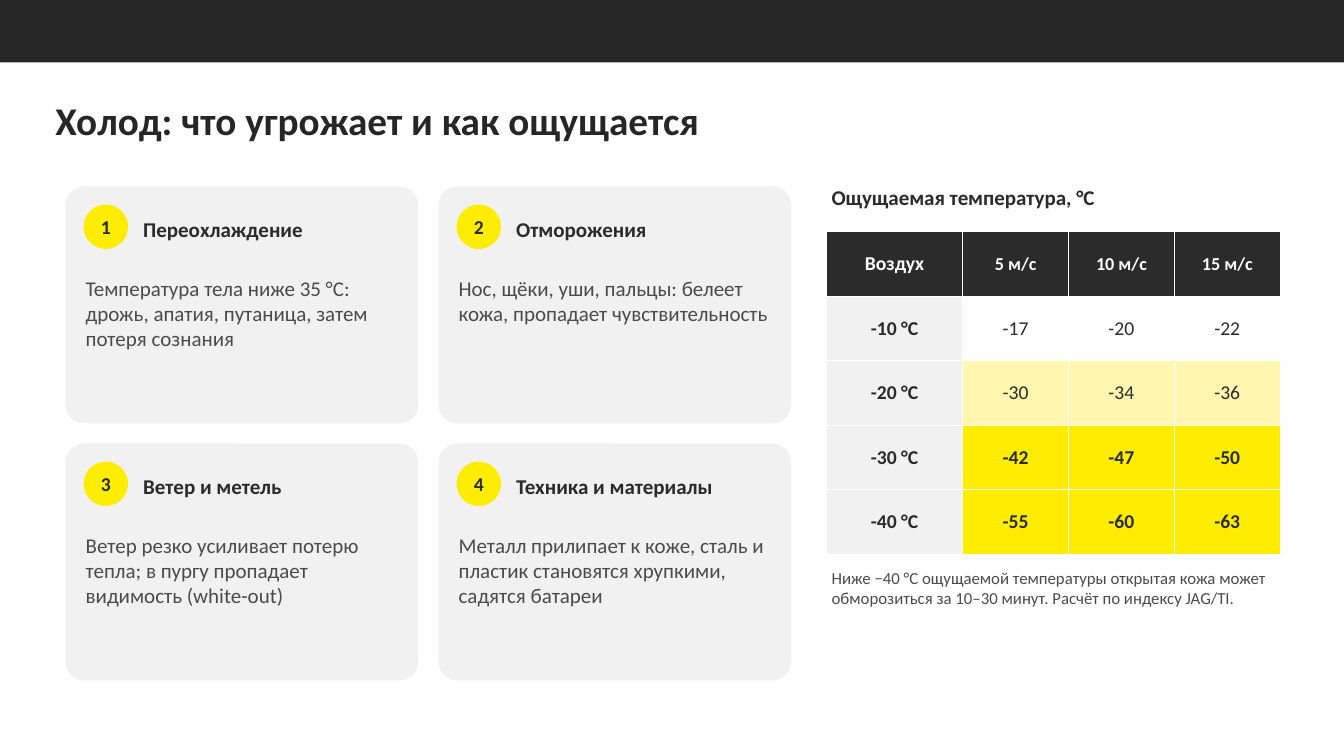
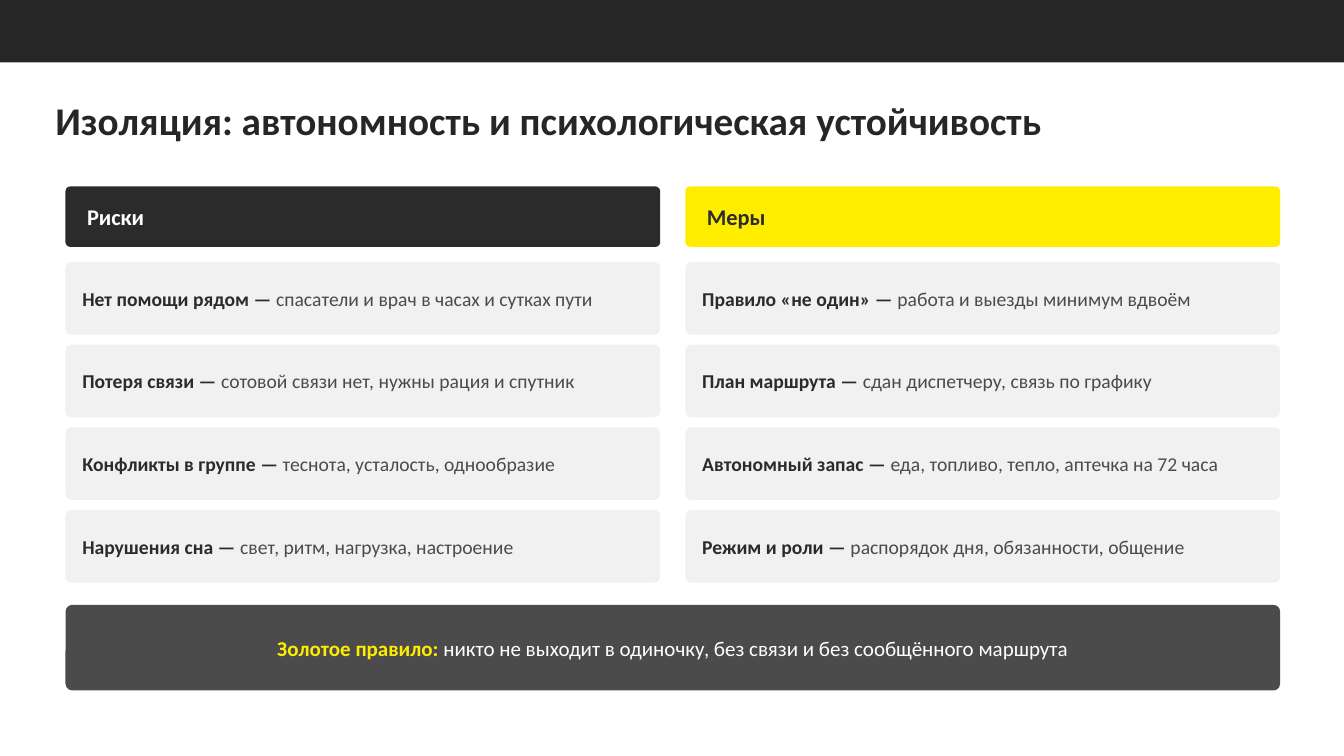
from dataclasses import dataclass

from pptx import Presentation
from pptx import util as u
from pptx.dml.color import RGBColor
from pptx.enum import shapes, text

SHAPE = shapes.MSO_SHAPE
ALIGN = text.PP_ALIGN
ANCHOR = text.MSO_ANCHOR


@dataclass(frozen=True)
class Theme:
    """Colours, type sizes in points and the font."""
    font: str = "Calibri"
    band: str = "262626"
    ink: str = "2B2B2B"
    grey: str = "4B4B4B"
    card: str = "F1F1F1"
    accent: str = "FFED00"
    pale: str = "FFF7B0"
    white: str = "FFFFFF"
    title: int = 28
    heading: int = 16
    body: int = 15
    cell: int = 14
    speed: int = 13
    note: int = 12


class Builder:
    """Places elements on a grid whose columns and rows are 0.1 inch."""
    STEP = 0.1
    WIDTH, HEIGHT = 133.33, 75
    LEFT, TOP, CONTENT_WIDTH = 6.5, 18.5, 120.5

    def __init__(self, theme):
        self.theme = theme
        self.deck = Presentation()
        self.deck.slide_width = self.grid(self.WIDTH)
        self.deck.slide_height = self.grid(self.HEIGHT)
        self.page = None

    def grid(self, steps):
        return u.Inches(steps * self.STEP)

    def place(self, area):
        return [self.grid(steps) for steps in area]

    def style(self, font, size, color, bold=False):
        font.name = self.theme.font
        font.size = u.Pt(size)
        font.bold = bold
        font.color.rgb = RGBColor.from_string(color)

    def fill_text(self, box, spans, size, align=ALIGN.LEFT, anchor=ANCHOR.MIDDLE, inset=0.5):
        """Fill a box with one paragraph of (text, colour, bold) spans."""
        frame = box.text_frame
        frame.word_wrap = True
        frame.vertical_anchor = anchor
        frame.margin_left = frame.margin_right = self.grid(inset)
        frame.margin_top = frame.margin_bottom = self.grid(0.3)
        para = frame.paragraphs[0]
        para.alignment = align
        if len(spans) == 1:
            words, color, bold = spans[0]
            para.text = words
            self.style(para.font, size, color, bold)
            return
        for words, color, bold in spans:
            span = para.add_run()
            span.text = words
            self.style(span.font, size, color, bold)

    def slide(self, title):
        """Start a slide with its title and the dark top band."""
        self.page = self.deck.slides.add_slide(self.deck.slide_layouts[5])
        box = self.page.shapes.title
        box.left, box.top, box.width, box.height = self.place((4.5, 8.4, 115, 7.5))
        box.text_frame.text = title
        box.text_frame.auto_size = text.MSO_AUTO_SIZE.NONE
        box.text_frame.vertical_anchor = ANCHOR.MIDDLE
        para = box.text_frame.paragraphs[0]
        para.alignment = ALIGN.LEFT
        para.line_spacing = 0.9
        self.style(para.font, self.theme.title, self.theme.band, True)
        self.shape(SHAPE.RECTANGLE, (0, 0, self.WIDTH, 6.2), self.theme.band)

    def shape(self, kind, area, fill):
        box = self.page.shapes.add_shape(kind, *self.place(area))
        box.shadow.inherit = False
        box.fill.solid()
        box.fill.fore_color.rgb = RGBColor.from_string(fill)
        box.line.fill.background()
        return box

    def panel(self, area, fill):
        box = self.shape(SHAPE.ROUNDED_RECTANGLE, area, fill)
        box.adjustments[0] = 0.08
        return box

    def label(self, area, words, size, color, bold=False, **layout):
        box = self.page.shapes.add_textbox(*self.place(area))
        self.fill_text(box, [(words, color, bold)], size, **layout)

    def numbered_card(self, area, number, heading, body):
        theme = self.theme
        left, top, width, height = area
        self.panel(area, theme.card)
        badge = self.shape(SHAPE.OVAL, (left + 1.8, top + 1.8, 4.4, 4.4), theme.accent)
        self.fill_text(badge, [(str(number), theme.ink, True)], theme.cell,
                       align=ALIGN.CENTER, inset=0)
        self.label((left + 7.5, top + 2, width - 8.5, 4.5), heading,
                   theme.body, theme.ink, True, inset=0.2)
        self.label((left + 1.5, top + 8.5, width - 3, height - 9.5), body,
                   theme.body, theme.grey, anchor=ANCHOR.TOP)

    def table(self, area, rows, widths, row_fills):
        """Draw a table with a dark header row and a grey first column."""
        theme = self.theme
        grid = self.page.shapes.add_table(len(rows), len(widths), *self.place(area)).table
        for column, width in zip(grid.columns, widths):
            column.width = self.grid(width)
        for r, (values, row_fill) in enumerate(zip(rows, row_fills)):
            grid.rows[r].height = self.grid(area[3] / len(rows))
            for c, value in enumerate(values):
                cell = grid.cell(r, c)
                header, first = r == 0, c == 0
                cell.fill.solid()
                fill = theme.card if first and not header else row_fill
                cell.fill.fore_color.rgb = RGBColor.from_string(fill)
                cell.vertical_anchor = ANCHOR.MIDDLE
                para = cell.text_frame.paragraphs[0]
                para.text = value
                para.alignment = ALIGN.CENTER
                self.style(para.font,
                           theme.speed if header and not first else theme.cell,
                           theme.white if header else theme.ink,
                           header or first or row_fill == theme.accent)


def cold_slide(builder):
    theme = builder.theme
    builder.slide("Холод: что угрожает и как ощущается")

    # Four hazard cards, two by two
    cards = [
        ("Переохлаждение",
         "Температура тела ниже 35 °C: дрожь, апатия, путаница, затем потеря сознания"),
        ("Отморожения",
         "Нос, щёки, уши, пальцы: белеет кожа, пропадает чувствительность"),
        ("Ветер и метель",
         "Ветер резко усиливает потерю тепла; в пургу пропадает видимость (white-out)"),
        ("Техника и материалы",
         "Металл прилипает к коже, сталь и пластик становятся хрупкими, садятся батареи"),
    ]
    width, height, gap = 35, 23.5, 2
    for index, (heading, body) in enumerate(cards):
        row, column = divmod(index, 2)
        area = (builder.LEFT + column * (width + gap),
                builder.TOP + row * (height + gap), width, height)
        builder.numbered_card(area, index + 1, heading, body)

    # Wind chill table with heading and note
    left, width = 82, 45
    builder.label((left, 18, width, 5), "Ощущаемая температура, °C",
                  theme.body, theme.ink, True, anchor=ANCHOR.TOP)
    rows = [
        ("Воздух", "5 м/с", "10 м/с", "15 м/с"),
        ("-10 °C", "-17", "-20", "-22"),
        ("-20 °C", "-30", "-34", "-36"),
        ("-30 °C", "-42", "-47", "-50"),
        ("-40 °C", "-55", "-60", "-63"),
    ]
    fills = [theme.ink, theme.white, theme.pale, theme.accent, theme.accent]
    builder.table((left, 23, width, 32), rows, [13.5] + [10.5] * 3, fills)
    builder.label((left, 56, width, 12),
                  "Ниже −40 °C ощущаемой температуры открытая кожа может "
                  "обморозиться за 10–30 минут. Расчёт по индексу JAG/TI.",
                  theme.note, theme.grey, anchor=ANCHOR.TOP)


def isolation_slide(builder):
    theme = builder.theme
    builder.slide("Изоляция: автономность и психологическая устойчивость")

    # Risks on the left, measures on the right
    columns = [
        ("Риски", theme.ink, theme.white, [
            ("Нет помощи рядом", "спасатели и врач в часах и сутках пути"),
            ("Потеря связи", "сотовой связи нет, нужны рация и спутник"),
            ("Конфликты в группе", "теснота, усталость, однообразие"),
            ("Нарушения сна", "свет, ритм, нагрузка, настроение"),
        ]),
        ("Меры", theme.accent, theme.ink, [
            ("Правило «не один»", "работа и выезды минимум вдвоём"),
            ("План маршрута", "сдан диспетчеру, связь по графику"),
            ("Автономный запас", "еда, топливо, тепло, аптечка на 72 часа"),
            ("Режим и роли", "распорядок дня, обязанности, общение"),
        ]),
    ]
    gap = 2.5
    width = (builder.CONTENT_WIDTH - gap) / 2
    for column, (heading, fill, color, items) in enumerate(columns):
        left = builder.LEFT + column * (width + gap)
        header = builder.panel((left, builder.TOP, width, 6), fill)
        builder.fill_text(header, [(heading, color, True)], theme.heading, inset=2)
        for row, (term, detail) in enumerate(items):
            card = builder.panel((left, 26 + row * 8.2, width, 7.2), theme.card)
            builder.fill_text(card, [(f"{term} — ", theme.ink, True),
                                     (detail, theme.grey, False)], theme.cell, inset=1.5)

    # Closing rule
    rule = builder.panel((builder.LEFT, 60, builder.CONTENT_WIDTH, 8.5), theme.grey)
    builder.fill_text(rule, [
        ("Золотое правило: ", theme.accent, True),
        ("никто не выходит в одиночку, без связи и без сообщённого маршрута",
         theme.white, False),
    ], theme.body, align=ALIGN.CENTER, inset=1.2)


def main():
    builder = Builder(Theme())
    cold_slide(builder)
    isolation_slide(builder)
    builder.deck.save("out.pptx")


if __name__ == "__main__":
    main()
